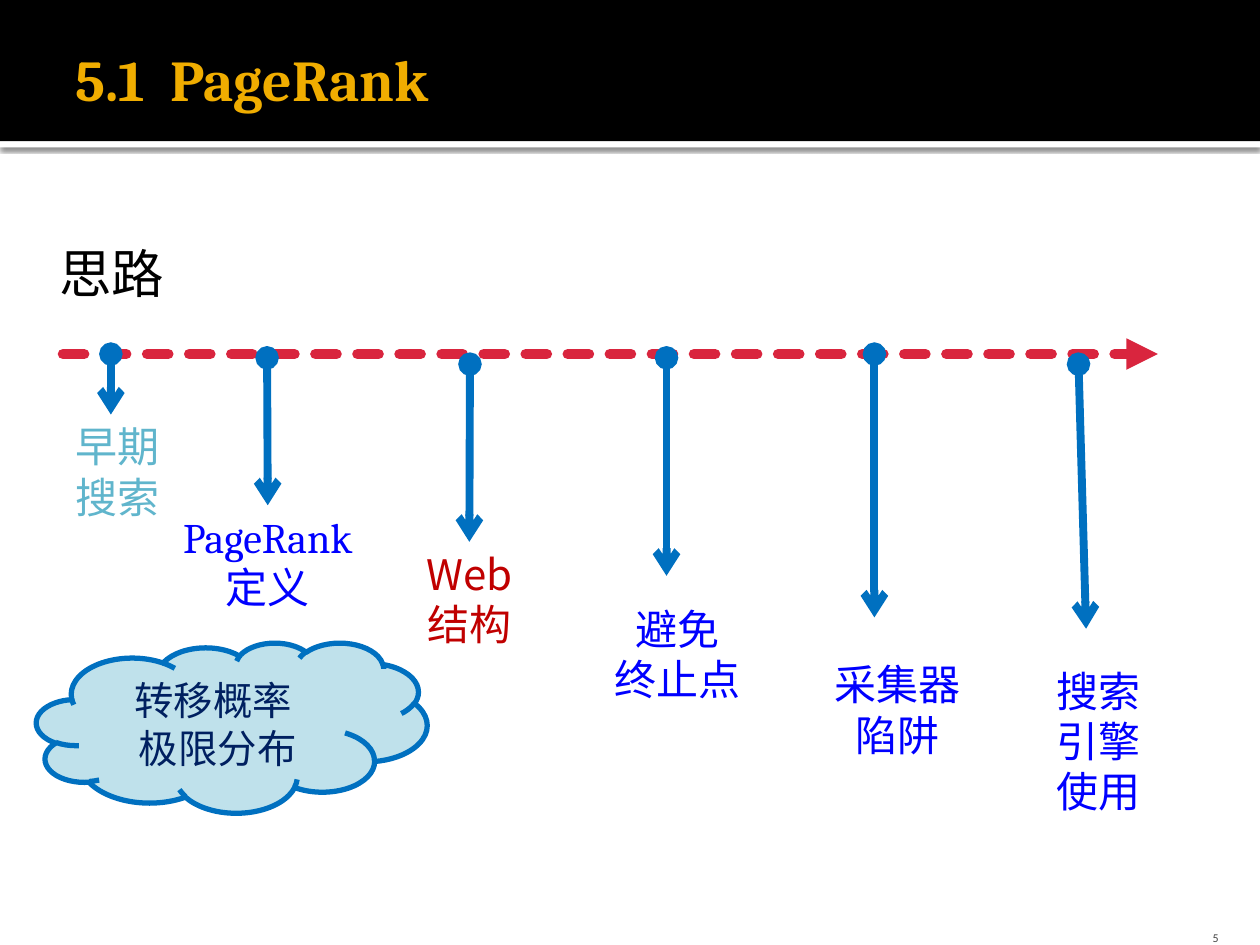
from dataclasses import dataclass

from lxml import etree
from pptx import Presentation
from pptx.dml.color import RGBColor
from pptx.enum.dml import MSO_LINE
from pptx.enum.shapes import MSO_CONNECTOR, MSO_SHAPE
from pptx.enum.text import MSO_ANCHOR, PP_ALIGN
from pptx.oxml.ns import qn
from pptx.util import Inches, Pt

RECT, CLOUD = MSO_SHAPE.RECTANGLE, MSO_SHAPE.CLOUD
STRAIGHT, DASH = MSO_CONNECTOR.STRAIGHT, MSO_LINE.SQUARE_DOT
LEFT, CENTER, RIGHT = PP_ALIGN.LEFT, PP_ALIGN.CENTER, PP_ALIGN.RIGHT
TOP, MIDDLE, BOTTOM = MSO_ANCHOR.TOP, MSO_ANCHOR.MIDDLE, MSO_ANCHOR.BOTTOM

CJK = "Noto Sans CJK JP"
COLORS = {
    "black": "000000", "white": "FFFFFF", "gold": "F0AD00", "gray": "454545",
    "axis": "D9253E", "arrow": "0070C0", "teal": "60B5CC", "blue": "0000FF",
    "red": "C00000", "cloud": "BFE1EB", "navy": "002060",
}
INSETS = (0.1, 0.05, 0.1, 0.05)


@dataclass
class Step:
    """One stop on the timeline: its arrow and its label."""
    start: tuple
    end: tuple
    box: tuple
    lines: list
    color: str = "blue"
    font: str = CJK
    align: PP_ALIGN = CENTER
    joined: bool = False


STEPS = [
    Step((0.88, 2.81), (0.88, 3.29), (0.5, 3.29, 1.12, 0.91), ["早期搜索"],
         color="teal", align=LEFT),
    Step((2.12, 2.84), (2.12, 4.01), (1.25, 4.01, 1.75, 0.91),
         ["PageRank\v定义"], font="Cambria", joined=True),
    Step((3.73, 2.89), (3.73, 4.3), (2.85, 4.3, 1.75, 0.91), ["Web", "结构"],
         color="red", joined=True),
    Step((5.29, 2.84), (5.29, 4.57), (4.5, 4.74, 1.75, 0.91), ["避免", "终止点"]),
    Step((6.94, 2.81), (6.94, 4.9), (6.25, 5.18, 1.75, 0.91), ["采集器", "陷阱"]),
    Step((8.56, 2.89), (8.62, 4.99), (7.84, 5.23, 1.75, 1.31),
         ["搜索", "引擎", "使用"]),
]


def rgb(name: str) -> RGBColor:
    return RGBColor.from_string(COLORS[name])


def write(shape, lines: list, size: float, color: str, font: str = CJK,
          align=CENTER, anchor=TOP, insets: tuple = INSETS, bold: bool = False) -> None:
    """Fill a shape with one paragraph per line, all in one format."""
    tf = shape.text_frame
    left, top, right, bottom = map(Inches, insets)
    frame = {"word_wrap": True, "vertical_anchor": anchor, "margin_left": left,
             "margin_top": top, "margin_right": right, "margin_bottom": bottom}
    for name, value in frame.items():
        setattr(tf, name, value)
    for i, line in enumerate(lines):
        p = tf.paragraphs[0] if i == 0 else tf.add_paragraph()
        p.text, p.alignment = line, align
        for r in p.runs:
            for name, value in {"size": Pt(size), "name": font, "bold": bold}.items():
                setattr(r.font, name, value)
            r.font.color.rgb = rgb(color)
            etree.SubElement(r.font._element, qn("a:ea"), typeface=CJK)


def add_text(slide, box: tuple, lines: list, size: float, color: str, **style):
    tb = slide.shapes.add_textbox(*map(Inches, box))
    write(tb, lines, size, color, **style)
    return tb


def add_block(slide, kind, box: tuple, fill: str):
    sp = slide.shapes.add_shape(kind, *map(Inches, box))
    sp.shadow.inherit = False
    sp.fill.solid()
    sp.fill.fore_color.rgb = rgb(fill)
    sp.line.fill.background()
    return sp


def add_arrow(slide, start: tuple, end: tuple, color: str, width: float,
              tail: str, head: str = "none", dash=None):
    line = slide.shapes.add_connector(STRAIGHT, *map(Inches, start + end))
    line.line.color.rgb = rgb(color)
    line.line.width = Pt(width)
    if dash:
        line.line.dash_style = dash
    ln = line.line._get_or_add_ln()
    if dash:
        ln.set("cap", "rnd")
    etree.SubElement(ln, qn("a:headEnd"), type=head)
    etree.SubElement(ln, qn("a:tailEnd"), type=tail)
    etree.SubElement(line._element.spPr, qn("a:effectLst"))
    return line


def add_shadow(shape, color: str, alpha: int, blur: float, dist: float) -> None:
    """Cast a soft shadow straight down."""
    effects = shape._element.spPr.find(qn("a:effectLst"))
    shadow = etree.SubElement(effects, qn("a:outerShdw"), blurRad=str(Pt(blur)),
                              dist=str(Pt(dist)), dir="5400000", rotWithShape="0")
    clr = etree.SubElement(shadow, qn("a:srgbClr"), val=COLORS[color])
    etree.SubElement(clr, qn("a:alpha"), val=str(alpha * 1000))


def add_header(slide) -> None:
    strip = add_block(slide, RECT, (0, 1.12, 10, 0.05), "white")
    add_shadow(strip, "black", 60, 2.5, 0.8)
    band = add_block(slide, RECT, (0, 0, 10, 1.12), "black")
    # Bands go behind the title placeholder
    title = slide.shapes.title
    for sp in (strip, band):
        title._element.addprevious(sp._element)
    title.left, title.top, title.width, title.height = map(Inches, (0.5, 0.08, 9, 1.08))
    write(title, ["5.1  PageRank"], 33, "gold", font="Cambria", align=LEFT,
          anchor=MIDDLE, insets=(0.1, 0.05, 0.05, 0.05), bold=True)


def add_step(slide, step: Step) -> None:
    label = add_text(slide, step.box, step.lines, 24, step.color,
                     font=step.font, align=step.align)
    arrow = add_arrow(slide, step.start, step.end, "arrow", 4.5, "arrow", head="oval")
    if step.joined:
        arrow.end_connect(label, 0)


def main() -> None:
    prs = Presentation()
    prs.slide_width, prs.slide_height = Inches(10), Inches(7.5)
    slide = prs.slides.add_slide(prs.slide_layouts[5])

    # Header, heading and slide number
    add_header(slide)
    add_text(slide, (8.97, 7.2, 0.8, 0.3), ["5"], 6.8, "gray", font="Calibri",
             align=RIGHT, anchor=BOTTOM, insets=(0.1, 0.05, 0.1, 0))
    add_text(slide, (0.31, 1.81, 9.62, 0.69), ["思路"], 30, "black",
             font="Cambria", align=LEFT, insets=(0.16, 0.1, 0.1, 0.05))

    # Timeline and its steps
    add_arrow(slide, (0.5, 2.81), (9.19, 2.81), "axis", 6, "triangle", dash=DASH)
    for step in STEPS:
        add_step(slide, step)

    # Cloud note
    cloud = add_block(slide, CLOUD, (0.29, 5.1, 3.1, 1.35), "cloud")
    cloud.line.color.rgb = rgb("arrow")
    cloud.line.width = Pt(3)
    write(cloud, ["转移概率 ", "极限分布"], 22.5, "navy", anchor=MIDDLE)

    prs.save("out.pptx")


if __name__ == "__main__":
    main()
